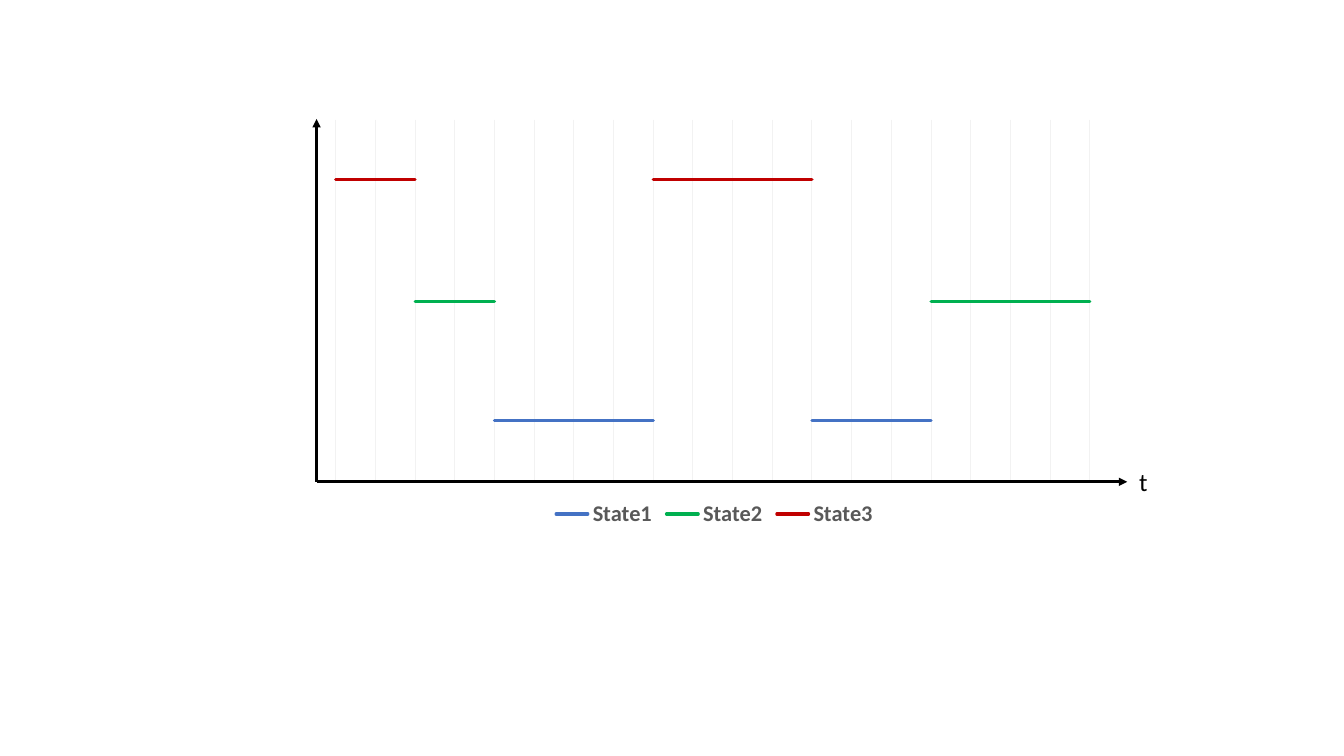
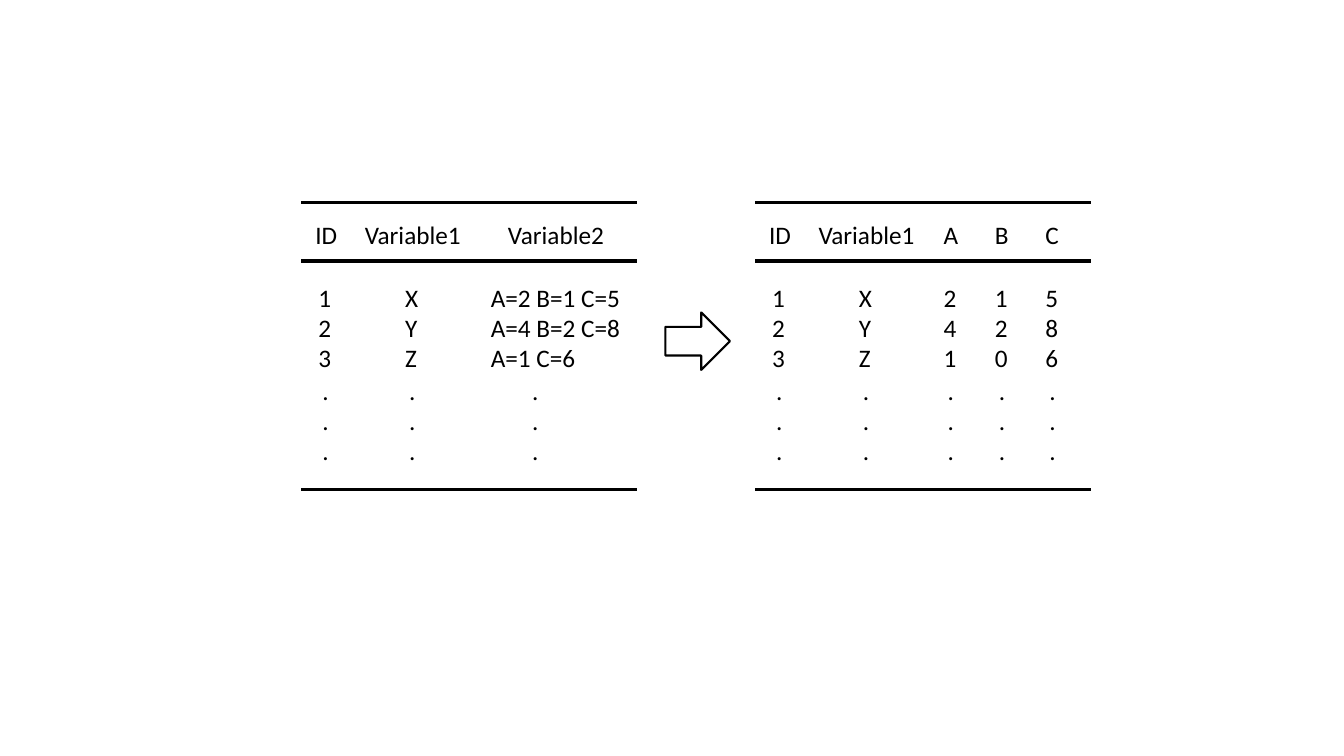
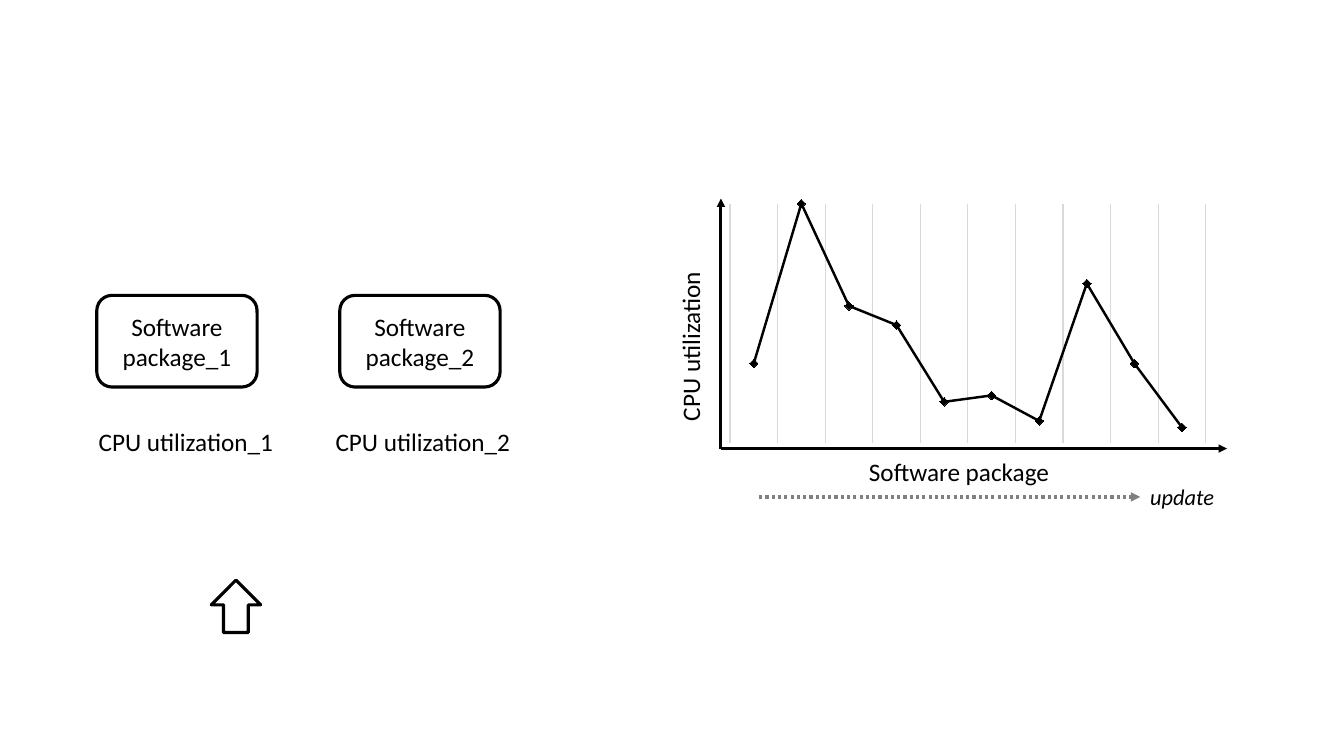
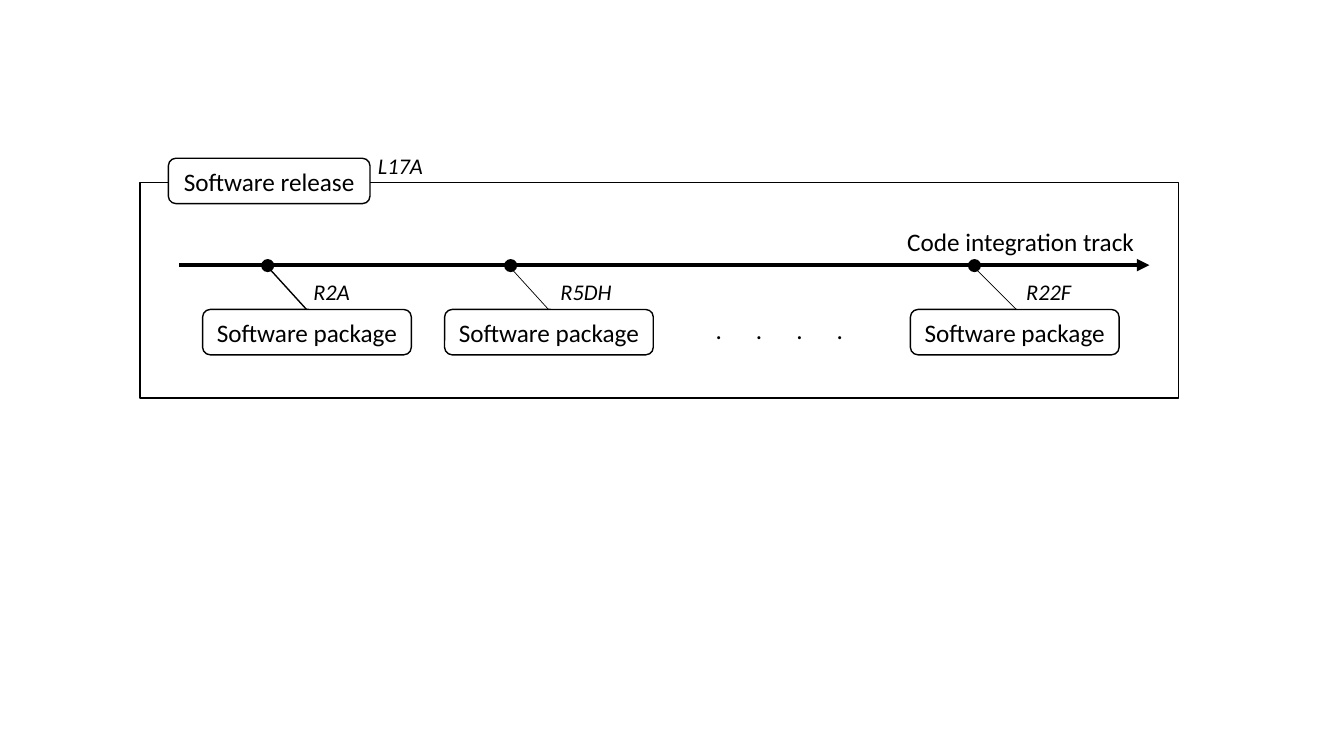
from dataclasses import dataclass
from typing import NamedTuple, Optional

from lxml import etree
from pptx import Presentation
from pptx.chart.data import CategoryChartData
from pptx.dml.color import RGBColor
from pptx.enum.chart import XL_CHART_TYPE, XL_LEGEND_POSITION, XL_MARKER_STYLE
from pptx.enum.dml import MSO_LINE
from pptx.enum.shapes import MSO_CONNECTOR, MSO_SHAPE
from pptx.enum.text import MSO_ANCHOR, MSO_AUTO_SIZE, PP_ALIGN
from pptx.oxml.ns import qn
from pptx.util import Inches, Pt

RECT = MSO_SHAPE.RECTANGLE
ROUNDED = MSO_SHAPE.ROUNDED_RECTANGLE
ARROW = MSO_SHAPE.RIGHT_ARROW
DOT = MSO_SHAPE.OVAL
STRAIGHT = MSO_CONNECTOR.STRAIGHT
DOTTED = MSO_LINE.ROUND_DOT
LINE = XL_CHART_TYPE.LINE
LINE_MARKERS = XL_CHART_TYPE.LINE_MARKERS
DIAMOND = XL_MARKER_STYLE.DIAMOND
LEGEND_BOTTOM = XL_LEGEND_POSITION.BOTTOM
LEFT, CENTER = PP_ALIGN.LEFT, PP_ALIGN.CENTER
TOP, MIDDLE = MSO_ANCHOR.TOP, MSO_ANCHOR.MIDDLE
FIT_SHAPE = MSO_AUTO_SIZE.SHAPE_TO_FIT_TEXT

FONT = "Calibri"
COLORS = {
    "ink": "000000",
    "paper": "FFFFFF",
    "update": "808080",
    "legend": "595959",
    "faint_grid": "F2F2F2",
    "grid": "D9D9D9",
    "state1": "4472C4",
    "state2": "00B050",
    "state3": "C00000",
}


class Box(NamedTuple):
    left: float
    top: float
    width: float
    height: float

    def emu(self) -> list:
        return [Inches(length) for length in self]


class Point(NamedTuple):
    x: float
    y: float


@dataclass
class Curve:
    name: str
    values: list
    color: str


@dataclass
class State:
    name: str
    level: int
    color: str
    periods: list


@dataclass
class Column:
    """Horizontal places count from the left edge of the table."""
    header: str
    header_x: float
    header_width: float
    values: str
    values_x: float
    dots_x: float
    values_width: float = 0.33


@dataclass
class Package:
    box_left: float
    dot_left: float
    leader_start: float
    leader_end: float
    revision: str
    revision_box: Box
    leader_weight: float = 0.5


def rgb(name: str) -> RGBColor:
    return RGBColor.from_string(COLORS[name])


# Text and shapes
def format_text(frame, content: str, *, size: float = 18, italic: bool = False,
                align=LEFT, anchor=TOP, wrap: bool = True) -> None:
    frame.word_wrap = wrap
    frame.vertical_anchor = anchor
    frame.text = content
    for paragraph in frame.paragraphs:
        paragraph.alignment = align
        for run in paragraph.runs:
            run.font.name = FONT
            run.font.size = Pt(size)
            run.font.italic = italic
            run.font.color.rgb = rgb("ink")


def add_text(slide, content: str, box: Box, *, rotation: float = 0, **style):
    label = slide.shapes.add_textbox(*box.emu())
    label.rotation = rotation
    style.setdefault("wrap", False)
    format_text(label.text_frame, content, **style)
    label.text_frame.auto_size = FIT_SHAPE
    return label


def add_block(slide, kind, box: Box, *, fill: Optional[str] = "paper",
              weight: float = 1, content: str = "", rotation: float = 0) -> None:
    block = slide.shapes.add_shape(kind, *box.emu())
    block.shadow.inherit = False
    block.rotation = rotation
    if fill:
        block.fill.solid()
        block.fill.fore_color.rgb = rgb(fill)
    else:
        block.fill.background()
    if weight:
        block.line.color.rgb = rgb("ink")
        block.line.width = Pt(weight)
    else:
        block.line.fill.background()
    if content:
        format_text(block.text_frame, content, align=CENTER, anchor=MIDDLE)


def add_line(slide, start: Point, end: Point, weight: float, *,
             color: str = "ink", arrow: bool = False, dash=None) -> None:
    line = slide.shapes.add_connector(
        STRAIGHT, *[Inches(length) for length in (*start, *end)])
    line.line.color.rgb = rgb(color)
    line.line.width = Pt(weight)
    if dash is not None:
        line.line.dash_style = dash
    if arrow:
        etree.SubElement(line.line._get_or_add_ln(), qn("a:tailEnd"), type="triangle")
    etree.SubElement(line._element.spPr, qn("a:effectLst"))


def add_axes(slide, origin: Point, top: float, right: float) -> None:
    for tip in (Point(origin.x, top), Point(right, origin.y)):
        add_line(slide, origin, tip, 2, arrow=True)


# Charts
def place_plot(chart, frame: Box, plot: Box) -> None:
    plot_area = chart._chartSpace.chart.plotArea
    for old in plot_area.findall(qn("c:layout")):
        plot_area.remove(old)
    layout = etree.Element(qn("c:layout"))
    manual = etree.SubElement(layout, qn("c:manualLayout"))
    settings = {
        "layoutTarget": "inner", "xMode": "edge", "yMode": "edge",
        "x": (plot.left - frame.left) / frame.width,
        "y": (plot.top - frame.top) / frame.height,
        "w": plot.width / frame.width,
        "h": plot.height / frame.height,
    }
    for tag, value in settings.items():
        etree.SubElement(manual, qn(f"c:{tag}"), val=str(value))
    plot_area.insert(0, layout)


def set_crossing(axis, mode: str) -> None:
    element = axis._element
    for old in element.findall(qn("c:crossBetween")):
        element.remove(old)
    crossing = etree.Element(qn("c:crossBetween"), val=mode)
    element.find(qn("c:crosses")).addnext(crossing)


def add_line_chart(slide, kind, frame: Box, plot: Box, curves: list, *,
                   low: float, high: float, grid: str, crossing: str,
                   weight: float, grid_weight: float = 0.75):
    data = CategoryChartData()
    data.categories = [str(n + 1) for n in range(len(curves[0].values))]
    for curve in curves:
        data.add_series(curve.name, curve.values)
    chart = slide.shapes.add_chart(kind, *frame.emu(), data).chart
    chart.has_title = False
    chart.has_legend = False
    chart.font.name = FONT
    chart.font.size = Pt(10)
    chart.font.color.rgb = rgb("ink")

    value_axis, category_axis = chart.value_axis, chart.category_axis
    value_axis.minimum_scale, value_axis.maximum_scale = low, high
    value_axis.has_major_gridlines = False
    category_axis.has_major_gridlines = True
    gridline = category_axis.major_gridlines.format.line
    gridline.color.rgb = rgb(grid)
    gridline.width = Pt(grid_weight)
    value_axis.visible = category_axis.visible = False
    set_crossing(value_axis, crossing)
    place_plot(chart, frame, plot)

    chart.plots[0].vary_by_categories = False
    for series, curve in zip(chart.plots[0].series, curves):
        series.smooth = False
        stroke = series.format.line
        stroke.color.rgb = rgb(curve.color)
        stroke.width = Pt(weight)
        stroke._get_or_add_ln().set("cap", "rnd")
        if kind == LINE_MARKERS:
            series.marker.style = DIAMOND
            series.marker.size = 6
            series.marker.format.fill.solid()
            series.marker.format.fill.fore_color.rgb = rgb(curve.color)
            series.marker.format.line.color.rgb = rgb(curve.color)
    return chart


# Slide 1: states over time
STEPS = 20
STATES = [
    State("State1", 43, "state1", [(5, 9), (13, 16)]),
    State("State2", 71, "state2", [(3, 5), (16, 20)]),
    State("State3", 100, "state3", [(1, 3), (9, 13)]),
]


def state_values(state: State) -> list:
    return [state.level if any(first <= step <= last for first, last in state.periods)
            else None for step in range(1, STEPS + 1)]


def build_states(slide) -> None:
    curves = [Curve(state.name, state_values(state), state.color) for state in STATES]
    chart = add_line_chart(
        slide, LINE, Box(2.98, 1.11, 8.21, 4.17), Box(3.33, 1.19, 7.48, 3.57), curves,
        low=29, high=114, grid="faint_grid", crossing="midCat", weight=2.25)
    chart.has_legend = True
    legend = chart.legend
    legend.position = LEGEND_BOTTOM
    legend.include_in_layout = False
    legend.font.name = FONT
    legend.font.size = Pt(16)
    legend.font.bold = True
    legend.font.color.rgb = rgb("legend")
    add_axes(slide, Point(3.14, 4.78), 1.18, 11.18)
    add_text(slide, "t", Box(11.2, 4.58, 0.29, 0.4))


# Slide 2: splitting a combined variable into columns
TABLE_WIDTH = 3.33
RULES = (2.01, 2.59, 4.86)
SHARED_COLUMNS = [
    Column("ID", 0.04, 0.42, "1\n2\n3", 0.07, 0.11),
    Column("Variable1", 0.53, 1.16, "X\nY\nZ", 0.93, 0.97),
]
COMBINED_COLUMN = Column("Variable2", 1.95, 1.16, "A=2 B=1 C=5\nA=4 B=2 C=8\nA=1 C=6",
                         1.78, 2.19, values_width=1.5)
SPLIT_COLUMNS = [
    Column(header, x, 0.35, values, x, x + 0.04)
    for header, x, values in [("A", 1.77, "2\n4\n1"), ("B", 2.28, "1\n2\n0"),
                              ("C", 2.78, "5\n8\n6")]
]


def build_data_table(slide, left: float, columns: list) -> None:
    for y in RULES:
        add_line(slide, Point(left, y), Point(left + TABLE_WIDTH, y), 2.25)
    for column in columns:
        add_text(slide, column.header,
                 Box(left + column.header_x, 2.13, column.header_width, 0.4))
        add_text(slide, column.values,
                 Box(left + column.values_x, 2.75, column.values_width, 1.01))
        add_text(slide, ".\n.\n.", Box(left + column.dots_x, 3.67, 0.27, 1.01))


def build_split(slide) -> None:
    build_data_table(slide, 2.99, SHARED_COLUMNS + [COMBINED_COLUMN])
    add_block(slide, ARROW, Box(6.6, 3.1, 0.64, 0.57), weight=1.5)
    build_data_table(slide, 7.49, SHARED_COLUMNS + SPLIT_COLUMNS)


# Slide 3: CPU utilization per software package
UTILIZATION = [50, 100, 68, 62, 38, 40, 32, 75, 50, 30]


def build_utilization(slide) -> None:
    for number, package_left, caption_left in [(1, 0.96, 0.88), (2, 3.37, 3.23)]:
        add_block(slide, ROUNDED, Box(package_left, 2.93, 1.59, 0.91), weight=2.25,
                  content=f"Software package_{number}")
        add_text(slide, f"CPU utilization_{number}", Box(caption_left, 4.18, 1.95, 0.4))
    add_block(slide, ARROW, Box(2.08, 5.77, 0.52, 0.49), weight=2.25, rotation=270)

    add_line_chart(
        slide, LINE_MARKERS, Box(7.15, 1.97, 4.91, 2.48), Box(7.24, 2.02, 4.72, 2.38),
        [Curve("Series 1", UTILIZATION, "ink")],
        low=25, high=100, grid="grid", crossing="between", weight=1.75)
    add_axes(slide, Point(7.15, 4.45), 1.97, 12.17)
    add_text(slide, "Software package", Box(8.52, 4.48, 2.64, 0.51), wrap=True)
    add_text(slide, "CPU utilization", Box(5.81, 2.98, 2.13, 0.46), rotation=270,
             wrap=True)
    add_line(slide, Point(7.53, 4.93), Point(11.31, 4.93), 2.25, color="update",
             arrow=True, dash=DOTTED)
    add_text(slide, "update", Box(11.31, 4.74, 0.97, 0.37), size=16, italic=True,
             wrap=True)


# Slide 4: packages on the code integration track
TRACK_Y = 2.63
PACKAGE_TOP = 3.07
PACKAGES = [
    Package(2.01, 2.59, 2.64, 3.04, "R2A", Box(3.01, 2.71, 0.57, 0.37), 1),
    Package(4.41, 5.0, 5.04, 5.44, "R5DH", Box(5.46, 2.71, 0.72, 0.37)),
    Package(9.03, 9.6, 9.64, 10.08, "R22F", Box(10.08, 2.71, 0.66, 0.37)),
]


def add_spaced_dots(slide, box: Box, count: int, step: float) -> None:
    dots = add_text(slide, "\t".join("." * count), box, wrap=True)
    properties = dots.text_frame.paragraphs[0]._p.get_or_add_pPr()
    stops = etree.SubElement(properties, qn("a:tabLst"))
    for index in range(1, count):
        etree.SubElement(stops, qn("a:tab"), pos=str(Inches(index * step)), algn="l")


def build_track(slide) -> None:
    add_block(slide, RECT, Box(1.39, 1.81, 10.3, 2.14), fill=None)
    add_block(slide, ROUNDED, Box(1.67, 1.57, 2, 0.45), content="Software release")
    add_text(slide, "L17A", Box(3.65, 1.46, 0.65, 0.37), size=16, italic=True)
    add_line(slide, Point(1.78, TRACK_Y), Point(11.4, TRACK_Y), 3, arrow=True)
    add_text(slide, "Code integration track", Box(8.9, 2.2, 2.5, 0.4), wrap=True)
    for package in PACKAGES:
        add_block(slide, ROUNDED, Box(package.box_left, PACKAGE_TOP, 2.07, 0.45),
                  content="Software package")
        add_line(slide, Point(package.leader_start, TRACK_Y),
                 Point(package.leader_end, PACKAGE_TOP), package.leader_weight)
        add_text(slide, package.revision, package.revision_box, size=16, italic=True)
        add_block(slide, DOT, Box(package.dot_left, 2.57, 0.13, 0.13), fill="ink", weight=0)
    add_spaced_dots(slide, Box(7, PACKAGE_TOP, 1.5, 0.4), count=4, step=0.4)


# Presentation
def main() -> None:
    deck = Presentation()
    deck.slide_width, deck.slide_height = Inches(13.33), Inches(7.5)
    blank = deck.slide_layouts[6]
    for build in (build_states, build_split, build_utilization, build_track):
        build(deck.slides.add_slide(blank))
    deck.save("out.pptx")


main()
